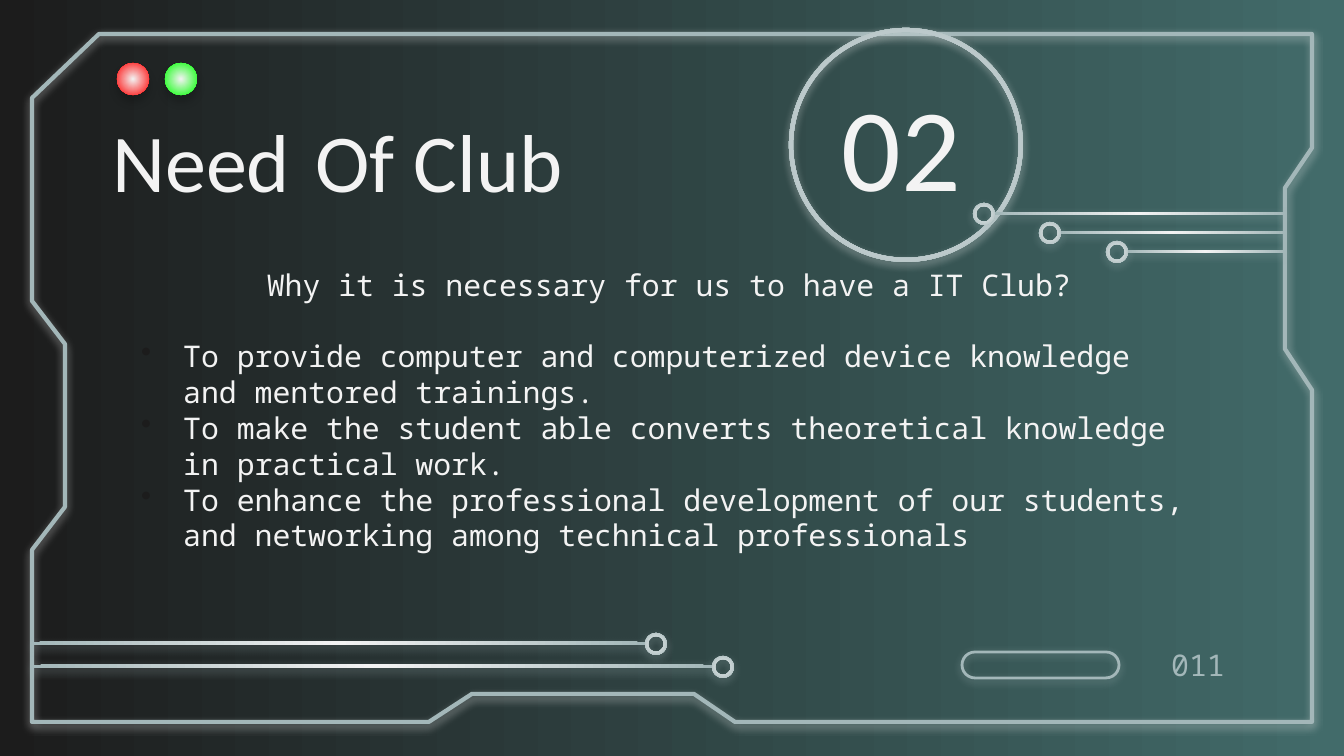
"""Build the 'Need Of Club' slide with its circuit-style frame."""
from lxml import etree
from pptx import Presentation
from pptx.dml.color import RGBColor
from pptx.enum.shapes import MSO_SHAPE as SHAPE
from pptx.enum.text import MSO_ANCHOR as ANCHOR, PP_ALIGN as ALIGN
from pptx.oxml.ns import qn
from pptx.util import Emu, Pt

PX = 914400 / 134.4
COLORS = {"dark": "1C1C1C", "teal": "426B6A", "light": "F3F3F3", "edge": "A3B7B9",
          "red": "FF0000", "green": "00FF00", "black": "000000"}
SANS, MONO = "Calibri", "Noto Sans Mono"

TITLE = [("Need", 44), (" ", 60), ("Of Club", 44)]
NUMBER = "02"
PAGE = "011"
QUESTION = "Why it is necessary for us to have a IT Club?"
REASONS = [
    "To provide computer and computerized device knowledge and mentored trainings.",
    "To make the student able converts theoretical knowledge in practical work.",
    "To enhance the professional development of our students, "
    "and networking among technical professionals",
]

FRAME = [(1312, 722), (735, 722), (694, 694), (472, 694), (429, 722), (32, 722),
         (32, 550), (65, 507), (65, 344), (32, 301), (32, 98), (99, 34), (1312, 34),
         (1312, 148), (1285, 188), (1285, 349), (1312, 390)]
CIRCUITS = [(32, 712, 665, 712), (992, 1285, 212, 973), (1059, 1285, 231, 1039),
            (1126, 1285, 250, 1106), (32, 645, 642, 645)]
BUTTONS = [(117, "red"), (165, "green")]
BAR, RING = 3, 22
GLOW = {"color": "edge", "alpha": 50, "dist": 1.5}
BRIGHT_GLOW = {**GLOW, "color": "light"}
DROP = {"color": "black", "alpha": 20, "dist": 3.8}


def px(*values):
    return [Emu(round(v * PX)) for v in values]


def rgb(name):
    return RGBColor.from_string(COLORS[name])


def set_stops(fill, inner, outer):
    fill.gradient()
    for stop, name in zip(fill.gradient_stops, (inner, outer)):
        stop.color.rgb = rgb(name)


def add_shadow(sp, color, alpha, dist):
    sp.shadow.inherit = False
    effects = sp._element.spPr.find(qn("a:effectLst"))
    shadow = etree.SubElement(effects, qn("a:outerShdw"), blurRad=str(Pt(4.5)),
                              dist=str(Pt(dist)), dir="5400000", algn="bl", rotWithShape="0")
    tint = etree.SubElement(shadow, qn("a:srgbClr"), val=COLORS[color])
    etree.SubElement(tint, qn("a:alpha"), val=str(alpha * 1000))


def style_outline(sp, width, shadow):
    sp.fill.background()
    sp.line.color.rgb = rgb("edge")
    sp.line.width = Pt(width)
    add_shadow(sp, **shadow)


def add_glow_shape(s, kind, box, outer="edge", shadow=GLOW, adj=None):
    sp = s.shapes.add_shape(kind, *px(*box))
    if adj is not None:
        sp.adjustments[0] = adj
    set_stops(sp.fill, "light", outer)
    grad = sp._element.spPr.find(qn("a:gradFill"))
    grad.remove(grad.find(qn("a:lin")))
    path = etree.SubElement(grad, qn("a:path"), path="circle")
    etree.SubElement(path, qn("a:fillToRect"), l="50000", t="50000", r="50000", b="50000")
    sp.line.fill.background()
    add_shadow(sp, **shadow)


def add_run(p, text, size, font, color="light"):
    r = p.add_run()
    r.text = text
    for key, value in {"size": Pt(size), "name": font}.items():
        setattr(r.font, key, value)
    r.font.color.rgb = rgb(color)


def add_text(s, box, anchor, align):
    tf = s.shapes.add_textbox(*px(*box)).text_frame
    inset = Emu(91440)
    settings = {"word_wrap": True, "vertical_anchor": anchor, "margin_left": inset,
                "margin_right": inset, "margin_top": inset, "margin_bottom": inset}
    for key, value in settings.items():
        setattr(tf, key, value)
    tf.paragraphs[0].alignment = align
    return tf


def add_bullet(p):
    ppr = p._p.get_or_add_pPr()
    indent = px(42)[0]
    ppr.set("marL", str(indent))
    ppr.set("indent", str(-indent))
    color = etree.SubElement(ppr, qn("a:buClr"))
    etree.SubElement(color, qn("a:srgbClr"), val=COLORS["dark"])
    etree.SubElement(ppr, qn("a:buChar"), char="•")


def add_body(s):
    tf = add_text(s, (128, 253, 1082, 367), ANCHOR.TOP, ALIGN.CENTER)
    p = tf.paragraphs[0]
    p.line_spacing = Pt(19.2)
    add_run(p, QUESTION, 16, MONO)
    for i, reason in enumerate(REASONS):
        p = tf.add_paragraph()
        p.alignment = ALIGN.LEFT
        p.line_spacing = Pt(19.2)
        p.space_before = Pt(0 if i else 19.2)
        add_bullet(p)
        add_run(p, reason, 16, MONO)


def main():
    prs = Presentation()
    prs.slide_width, prs.slide_height = px(1344, 756)
    s = prs.slides.add_slide(prs.slide_layouts[6])
    set_stops(s.background.fill, "dark", "teal")
    s.background.fill.gradient_angle = 0

    builder = s.shapes.build_freeform(*FRAME[0], scale=PX)
    builder.add_line_segments(FRAME[1:], close=True)
    style_outline(builder.convert_to_shape(), 2.25, GLOW | BRIGHT_GLOW)
    add_glow_shape(s, SHAPE.DONUT, (789, 28, 234, 234), shadow=BRIGHT_GLOW, adj=0.018)

    title = add_text(s, (43, 75, 589, 153), ANCHOR.BOTTOM, ALIGN.CENTER)
    for text, size in TITLE:
        add_run(title.paragraphs[0], text, size, SANS)
    add_body(s)
    number = add_text(s, (767, 82, 269, 124), ANCHOR.MIDDLE, ALIGN.CENTER)
    add_run(number.paragraphs[0], NUMBER, 63, SANS)

    for left, right, y, ring_left in CIRCUITS:
        add_glow_shape(s, SHAPE.RECTANGLE, (left, y, right - left, BAR))
        ring_top = y - (RING - BAR) // 2
        add_glow_shape(s, SHAPE.DONUT, (ring_left, ring_top, RING, RING), adj=0.14)

    page = add_text(s, (1157, 652, 81, 26), ANCHOR.MIDDLE, ALIGN.RIGHT)
    add_run(page.paragraphs[0], PAGE, 16, MONO, "edge")
    for left, color in BUTTONS:
        add_glow_shape(s, SHAPE.OVAL, (left, 63, 32, 32), color, DROP)
    pill = s.shapes.add_shape(SHAPE.ROUNDED_RECTANGLE, *px(962, 652, 157, 26))
    pill.adjustments[0] = 0.5
    style_outline(pill, 1.5, GLOW)

    prs.save("out.pptx")


if __name__ == "__main__":
    main()
